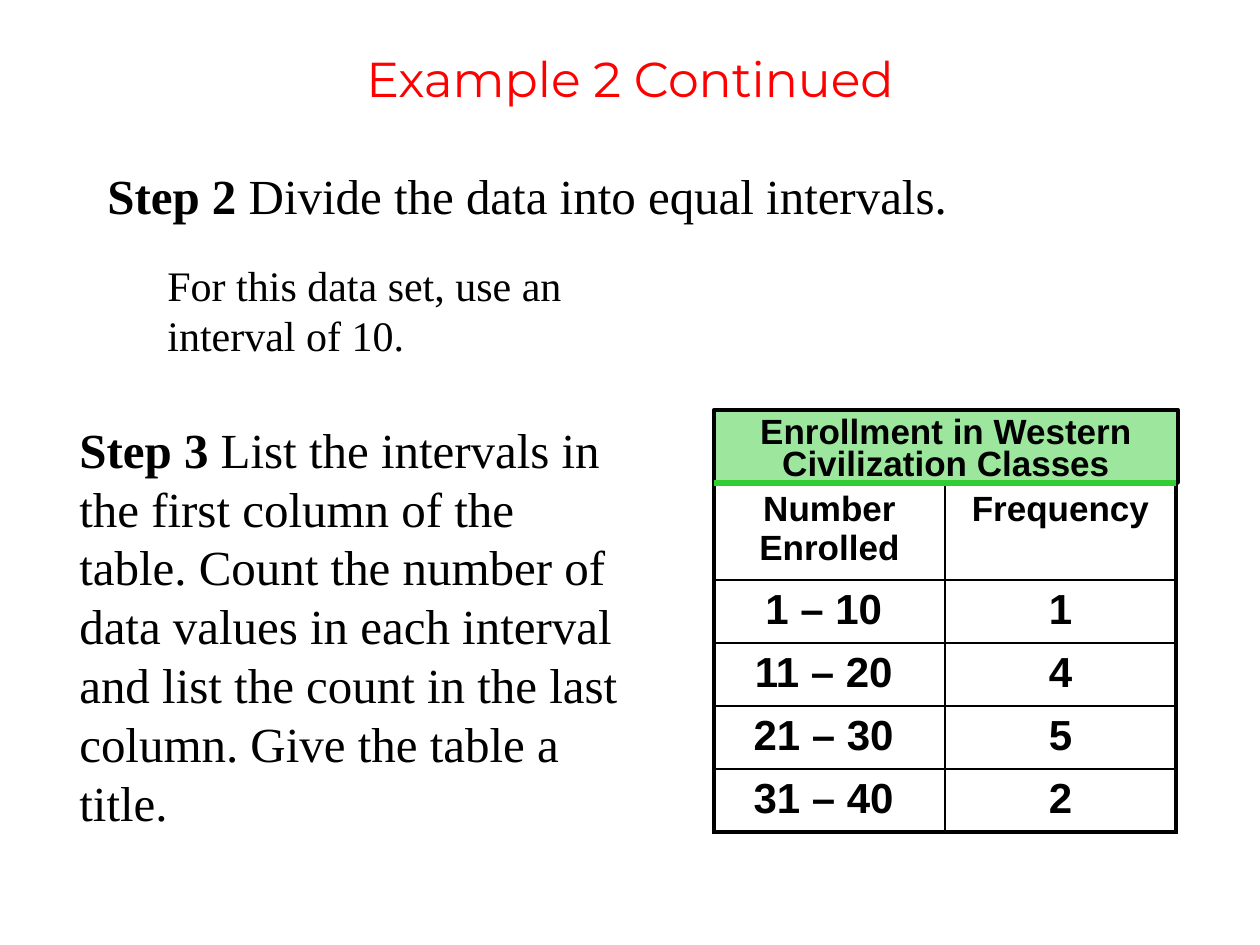
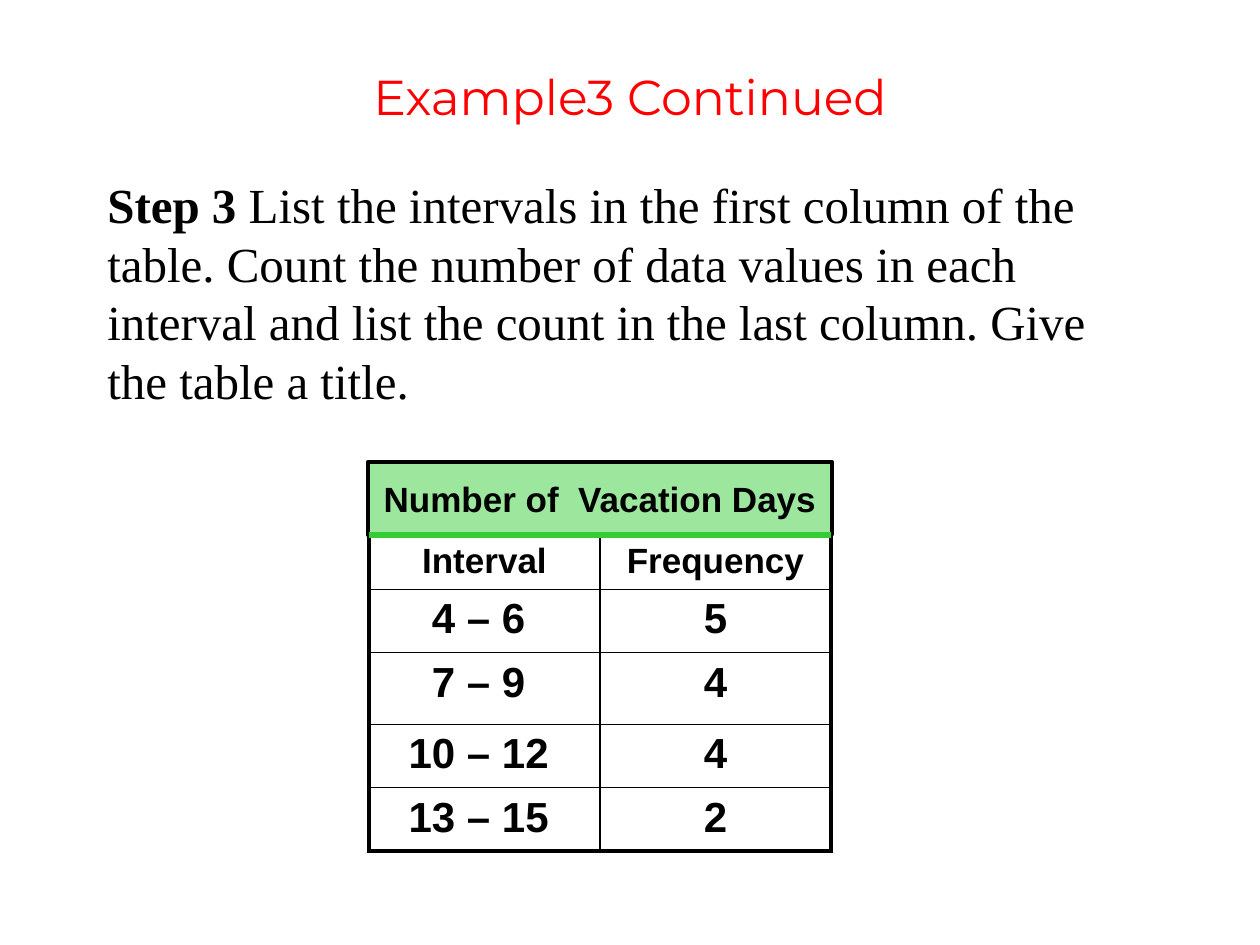
from lxml.etree import SubElement
from pptx import Presentation
from pptx.dml.color import RGBColor
from pptx.enum.shapes import MSO_CONNECTOR, MSO_SHAPE
from pptx.enum.text import MSO_ANCHOR, MSO_AUTO_SIZE, PP_ALIGN
from pptx.oxml.ns import qn
from pptx.util import Emu, Pt

PX = 914400 / 126
BLACK, RED, GREEN, WHITE = "000000", "FF0000", "33CC33", "FFFFFF"
TITLE = {"name": "Montserrat", "size": Pt(28), "color": RED}
STEP = {"name": "Times New Roman", "size": Pt(28), "color": BLACK}
NOTE = {**STEP, "size": Pt(24)}
HEADING = {"name": "Arial", "size": Pt(20), "bold": True, "color": BLACK}
VALUE = {**HEADING, "size": Pt(24)}
OUTER, INNER = Pt(2.25), Pt(1)
BAND_HEIGHT, COLUMN_WIDTH = 73, 231
COUNT_STEP = (
    "List the intervals in the first column of the table. "
    "Count the number of data values in each interval and list "
    "the count in the last column. Give the table a title."
)


def px(*lengths):
    return [Emu(round(length * PX)) for length in lengths]


def rgb(color):
    return RGBColor.from_string(color)


def set_all(target, formats):
    for name, value in formats.items():
        setattr(target, name, value)


def add_span(para, text, formats):
    span = para.add_run()
    span.text = text
    set_all(span.font, {key: value for key, value in formats.items() if key != "color"})
    span.font.color.rgb = rgb(formats["color"])


def add_title(page, text, top):
    box = page.shapes.title
    set_all(box, dict(zip(("left", "top", "width", "height"), px(0, top, 1260, 72))))
    set_all(box.text_frame, {"vertical_anchor": MSO_ANCHOR.MIDDLE, "auto_size": MSO_AUTO_SIZE.NONE})
    para = box.text_frame.paragraphs[0]
    para.alignment = PP_ALIGN.CENTER
    add_span(para, text, TITLE)


def add_text(page, place, text, formats, label=None):
    box = page.shapes.add_textbox(*px(*place))
    box.text_frame.word_wrap = True
    para = box.text_frame.paragraphs[0]
    if label:
        add_span(para, label + " ", {**formats, "bold": True})
    add_span(para, text, formats)
    return para


def add_border(cell, side, width):
    line = SubElement(cell._tc.get_or_add_tcPr(), qn(f"a:ln{side}"), w=str(width))
    fill = SubElement(line, qn("a:solidFill"))
    SubElement(fill, qn("a:srgbClr"), val=BLACK)


def add_frequency_table(page, left, top, rows, heights):
    row_count, column_count = len(rows), len(rows[0])
    place = px(left, top, COLUMN_WIDTH * column_count, sum(heights))
    table = page.shapes.add_table(row_count, column_count, *place).table
    set_all(table, {"first_row": False, "horz_banding": False})
    for column in table.columns:
        column.width = px(COLUMN_WIDTH)[0]
    for row_index, (row, height) in enumerate(zip(rows, heights)):
        table.rows[row_index].height = px(height)[0]
        for column_index, text in enumerate(row):
            cell = table.cell(row_index, column_index)
            para = cell.text_frame.paragraphs[0]
            set_all(para, {"alignment": PP_ALIGN.CENTER, "space_before": Pt(1)})
            add_span(para, text, VALUE if row_index else HEADING)
            edges = {
                "L": column_index == 0,
                "R": column_index == column_count - 1,
                "T": row_index == 0,
                "B": row_index == row_count - 1,
            }
            for side, is_outer in edges.items():
                add_border(cell, side, OUTER if is_outer else INNER)
            cell.fill.solid()
            cell.fill.fore_color.rgb = rgb(WHITE)


def add_band(page, left, top, lines):
    band = page.shapes.add_shape(MSO_SHAPE.RECTANGLE, *px(left, top, 464, BAND_HEIGHT))
    band.shadow.inherit = False
    band.fill.solid()
    band.fill.fore_color.rgb = rgb(GREEN)
    color = band.fill._xPr.find(qn("a:solidFill"))[0]
    SubElement(color, qn("a:alpha"), val="48000")
    band.line.color.rgb = rgb(BLACK)
    band.line.width = OUTER
    frame = band.text_frame
    set_all(frame, {"word_wrap": False, "vertical_anchor": MSO_ANCHOR.MIDDLE})
    for index, text in enumerate(lines):
        para = frame.add_paragraph() if index else frame.paragraphs[0]
        set_all(para, {"alignment": PP_ALIGN.CENTER, "line_spacing": 0.75 if index else 1.0})
        add_span(para, text, HEADING)


def add_rule(page, left, top):
    ends = px(left, top, left + 2 * COLUMN_WIDTH, top)
    rule = page.shapes.add_connector(MSO_CONNECTOR.STRAIGHT, *ends)
    rule.line.color.rgb = rgb(GREEN)
    rule.line.width = Pt(3)
    SubElement(rule._element.spPr, qn("a:effectLst"))


def add_titled_table(page, left, band_left, top, title_lines, rows, heights):
    table_top = top + BAND_HEIGHT
    add_frequency_table(page, left, table_top, rows, heights)
    add_band(page, band_left, top, title_lines)
    add_rule(page, left, table_top)


def add_page(deck, title, top):
    page = deck.slides.add_slide(deck.slide_layouts[5])
    add_title(page, title, top)
    return page


def main():
    deck = Presentation()
    deck.slide_width, deck.slide_height = px(1260, 945)

    page = add_page(deck, "Example 2 Continued", 42)
    enrollment = [
        ("Number Enrolled", "Frequency"),
        ("1 – 10 ", "1"),
        ("11 – 20 ", "4"),
        ("21 – 30 ", "5"),
        ("31 – 40 ", "2"),
    ]
    add_titled_table(
        page, 714, 714, 410, ["Enrollment in Western", "Civilization Classes"],
        enrollment, [97, 63, 63, 63, 63],
    )
    divide = add_text(
        page, (95, 159, 1005, 72), "Divide the data into equal intervals.", STEP, "Step 2"
    )
    divide.space_before = Pt(3)
    add_text(page, (155, 253, 548, 115), "For this data set, use an interval of 10.", NOTE)
    add_text(page, (67, 413, 570, 428), COUNT_STEP, STEP, "Step 3")

    page = add_page(deck, "Example3 Continued", 60)
    vacation = [
        ("Interval", "Frequency"),
        ("4 – 6 ", "5"),
        ("7 – 9 ", "4"),
        ("10 – 12 ", "4"),
        ("13 – 15 ", "2"),
    ]
    add_text(page, (95, 168, 1071, 251), COUNT_STEP, STEP, "Step 3")
    add_titled_table(
        page, 369, 368, 462, ["Number of  Vacation Days"],
        vacation, [54, 63, 72, 63, 63],
    )

    deck.save("out.pptx")


if __name__ == "__main__":
    main()
